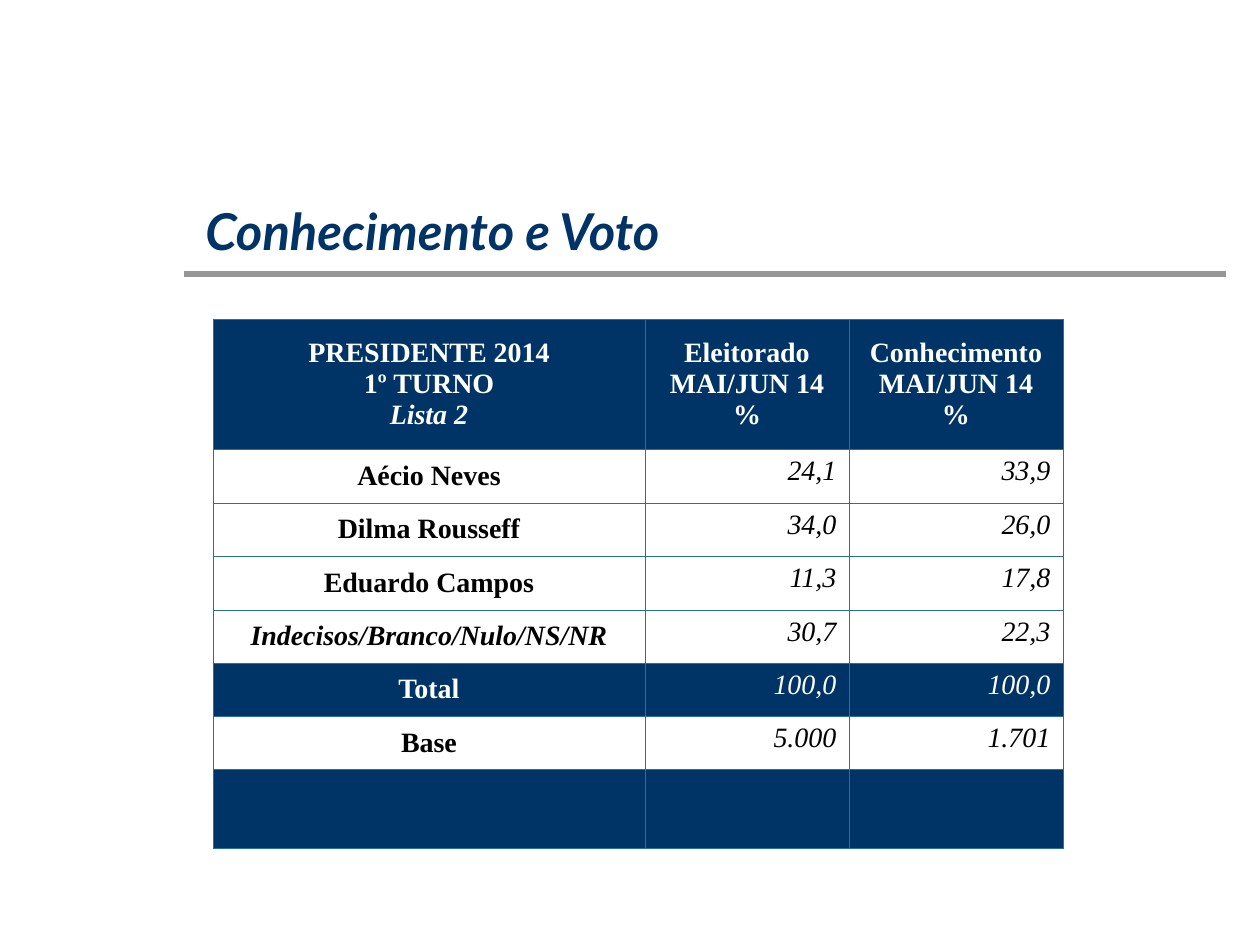
from lxml import etree
from pptx import Presentation
from pptx.dml.color import RGBColor
from pptx.enum.shapes import MSO_CONNECTOR
from pptx.enum.text import MSO_ANCHOR, PP_ALIGN
from pptx.oxml.ns import qn
from pptx.util import Emu, Pt

STRAIGHT = MSO_CONNECTOR.STRAIGHT
TOP, MIDDLE = MSO_ANCHOR.TOP, MSO_ANCHOR.MIDDLE
LEFT, CENTER, RIGHT = PP_ALIGN.LEFT, PP_ALIGN.CENTER, PP_ALIGN.RIGHT

NAVY = RGBColor(0x00, 0x33, 0x66)
GRAY = RGBColor(0x96, 0x96, 0x96)
BORDER = RGBColor(0x29, 0x71, 0x9C)
WHITE = RGBColor(0xFF, 0xFF, 0xFF)
BLACK = RGBColor(0x00, 0x00, 0x00)


def px(length):
    return Emu(round(length * 914400 / 126))


def write(frame, lines, size=16, font="Times New Roman", color=BLACK,
          bold=False, italic=False, align=LEFT, italic_lines=()):
    for index, line in enumerate(lines):
        paragraph = frame.paragraphs[0] if index == 0 else frame.add_paragraph()
        paragraph.alignment = align
        run = paragraph.add_run()
        run.text = line
        run.font.size = Pt(size)
        run.font.name = font
        run.font.bold = bold
        run.font.italic = italic or line in italic_lines
        run.font.color.rgb = color


prs = Presentation()
prs.slide_width = px(1260)
prs.slide_height = px(945)
slide = prs.slides.add_slide(prs.slide_layouts[6])

title_rule = slide.shapes.add_connector(STRAIGHT, px(184), px(274), px(1226), px(274))
title_rule.line.color.rgb = GRAY
title_rule.line.width = Pt(3)
etree.SubElement(title_rule._element.spPr, qn("a:effectLst"))

title = slide.shapes.add_textbox(px(193), px(194), px(1007), px(74))
title.text_frame.word_wrap = True
write(title.text_frame, ["Conhecimento e Voto"], size=29, font="Lato",
      color=NAVY, bold=True, italic=True)

headings = [
    ["PRESIDENTE 2014", "1º TURNO", "Lista 2"],
    ["Eleitorado", "MAI/JUN 14", "%"],
    ["Conhecimento", "MAI/JUN 14", "%"],
]
results = [
    ("Aécio Neves", "24,1", "33,9"),
    ("Dilma Rousseff", "34,0", "26,0"),
    ("Eduardo Campos", "11,3", "17,8"),
    ("Indecisos/Branco/Nulo/NS/NR", "30,7", "22,3"),
    ("Total", "100,0", "100,0"),
    ("Base", "5.000", "1.701"),
]
rows = [headings] + [[[text] for text in result] for result in results] + [[[], [], []]]
column_widths = [432, 204, 214]
row_heights = [130, 54, 53, 54, 53, 53, 54, 79]
navy_rows = (0, 5, 7)
italic_labels = ("Lista 2", "Indecisos/Branco/Nulo/NS/NR")

poll = slide.shapes.add_table(len(rows), len(column_widths), px(213), px(319),
                              px(sum(column_widths)), px(sum(row_heights))).table
for column, width in zip(poll.columns, column_widths):
    column.width = px(width)
for row, height in zip(poll.rows, row_heights):
    row.height = px(height)

for r, row in enumerate(rows):
    for c, lines in enumerate(row):
        cell = poll.cell(r, c)
        is_label = r == 0 or c == 0
        is_navy = r in navy_rows
        cell.margin_left = cell.margin_right = Pt(7.2)
        cell.margin_top = cell.margin_bottom = Pt(3.6)
        cell.vertical_anchor = MIDDLE if is_label else TOP
        write(cell.text_frame, lines, color=WHITE if is_navy else BLACK,
              bold=is_label, italic=not is_label,
              align=CENTER if is_label else RIGHT, italic_lines=italic_labels)
        properties = cell._tc.get_or_add_tcPr()
        for side in ("a:lnL", "a:lnR", "a:lnT", "a:lnB"):
            edge = etree.SubElement(properties, qn(side), w=str(Pt(0.45)))
            edge_fill = etree.SubElement(edge, qn("a:solidFill"))
            etree.SubElement(edge_fill, qn("a:srgbClr"), val=str(BORDER))
        cell.fill.solid()
        cell.fill.fore_color.rgb = NAVY if is_navy else WHITE

prs.save("out.pptx")
